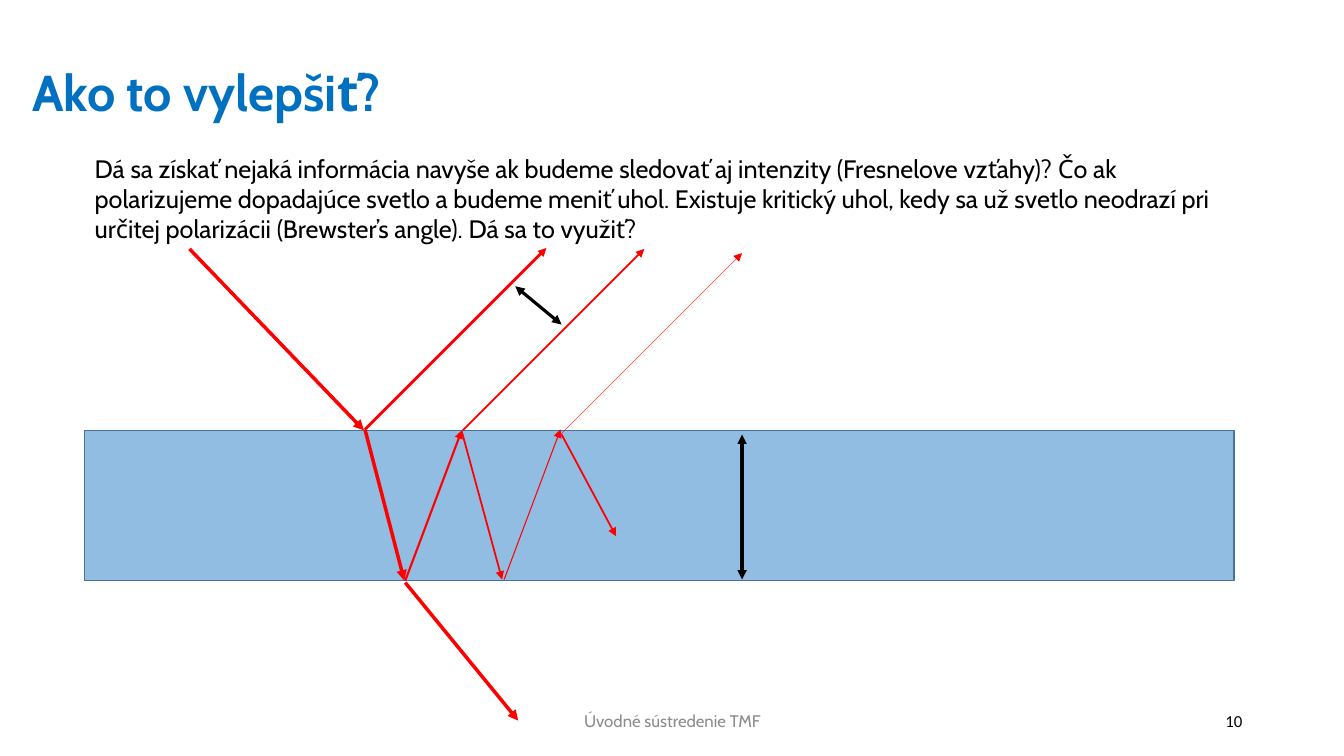
from lxml import etree
from pptx import Presentation
from pptx.dml.color import RGBColor
from pptx.enum.shapes import MSO_CONNECTOR, MSO_SHAPE
from pptx.enum.text import MSO_ANCHOR, PP_ALIGN
from pptx.oxml.ns import qn
from pptx.util import Inches, Pt

LEFT, CENTER, RIGHT = PP_ALIGN.LEFT, PP_ALIGN.CENTER, PP_ALIGN.RIGHT
TOP, MIDDLE = MSO_ANCHOR.TOP, MSO_ANCHOR.MIDDLE
STRAIGHT, RECT = MSO_CONNECTOR.STRAIGHT, MSO_SHAPE.RECTANGLE

COLORS = {
    "title": "0070C0",
    "text": "000000",
    "footer": "8C8C8C",
    "slab": "5B9BD5",
    "slab_edge": "43739E",
    "ray": "FF0000",
    "measure": "000000",
}
TITLE = "Ako to vylepšiť?"
QUESTION = (
    "Dá sa získať nejaká informácia navyše ak budeme sledovať aj intenzity "
    "(Fresnelove vzťahy)? Čo ak polarizujeme dopadajúce svetlo a budeme meniť "
    "uhol. Existuje kritický uhol, kedy sa už svetlo neodrazí pri určitej "
    "polarizácii (Brewster’s angle). Dá sa to využiť?"
)

# Rays: start and end from the slab's top left corner, line width
RAYS = [
    ((1.04, -1.8), (2.77, 0), 2.5),  # incident
    ((2.78, -0.01), (3.17, 1.49), 2.5),  # refracted
    ((3.18, 1.51), (4.3, 2.88), 2.5),  # transmitted
    ((3.18, 1.49), (3.74, 0), 1.5),  # first inner reflection
    ((3.75, 0), (5.55, -1.8), 1.25),  # second outgoing
    ((2.78, -0.01), (4.58, -1.81), 2),  # first outgoing
    ((3.74, 0.01), (4.14, 1.48), 1.25),
    ((4.16, 1.48), (4.72, -0.01), 0.75),
    ((4.72, 0.04), (6.52, -1.76), 0.25),  # third outgoing
    ((4.73, 0.04), (5.27, 1.05), 1.25),
]
# Double arrows: slab thickness and distance between outgoing rays
MEASURES = [
    ((6.52, 0.04), (6.52, 1.48), 2.25),
    ((4.27, -1.43), (4.73, -1.05), 2.25),
]


def rgb(name):
    return RGBColor.from_string(COLORS[name])


def add_text(slide, box, text, size=18, color="text", font="Cabin", bold=False,
             align=LEFT, anchor=TOP, spacing=1.0):
    tf = slide.shapes.add_textbox(*map(Inches, box)).text_frame
    tf.word_wrap = True
    tf.vertical_anchor = anchor
    p = tf.paragraphs[0]
    p.alignment = align
    p.line_spacing = spacing
    r = p.add_run()
    r.text = text
    r.font.name = font
    r.font.size = Pt(size)
    r.font.bold = bold
    r.font.color.rgb = rgb(color)


def add_arrow(slide, origin, start, end, width, color, ends=("tailEnd",)):
    x, y = origin
    points = (x + start[0], y + start[1], x + end[0], y + end[1])
    line = slide.shapes.add_connector(STRAIGHT, *map(Inches, points))
    line.line.color.rgb = rgb(color)
    line.line.width = Pt(width)
    sp_pr = line._element.spPr
    ln = sp_pr.find(qn("a:ln"))
    for tag in ends:
        etree.SubElement(ln, qn("a:" + tag), type="triangle")
    etree.SubElement(sp_pr, qn("a:effectLst"))


def add_header(slide, box):
    left, top, width, height = box
    add_text(slide, (left, top, width, 1.45), TITLE, size=36, color="title",
             bold=True, anchor=MIDDLE, spacing=0.9)
    add_text(slide, (left + 0.62, top + 1.25, 11.58, height - 1.25), QUESTION)


def add_footer(slide, box):
    left, top, width, height = box
    add_text(slide, (left, top, 4.5, height), "Úvodné sústredenie TMF", size=12,
             color="footer", align=CENTER, anchor=MIDDLE)
    add_text(slide, (left + width - 3, top, 3, height), "10", size=12,
             font="Calibri", align=RIGHT, anchor=MIDDLE)


def add_slab_diagram(slide, box):
    # Translucent slab
    slab = slide.shapes.add_shape(RECT, *map(Inches, box))
    slab.shadow.inherit = False
    slab.fill.solid()
    slab.fill.fore_color.rgb = rgb("slab")
    fill_color = slab._element.spPr.find(qn("a:solidFill"))[0]
    etree.SubElement(fill_color, qn("a:alpha"), val="66000")
    slab.line.color.rgb = rgb("slab_edge")
    slab.line.width = Pt(1)

    # Light rays and measured distances
    origin = box[:2]
    for start, end, width in RAYS:
        add_arrow(slide, origin, start, end, width, "ray")
    for start, end, width in MEASURES:
        add_arrow(slide, origin, start, end, width, "measure",
                  ends=("headEnd", "tailEnd"))


def main():
    prs = Presentation()
    prs.slide_width, prs.slide_height = Inches(13.33), Inches(7.5)
    slide = prs.slides.add_slide(prs.slide_layouts[6])
    add_header(slide, (0.22, 0.22, 12.62, 2.66))
    add_footer(slide, (4.42, 6.95, 8, 0.4))
    add_slab_diagram(slide, (0.84, 4.27, 11.4, 1.49))
    prs.save("out.pptx")


if __name__ == "__main__":
    main()
